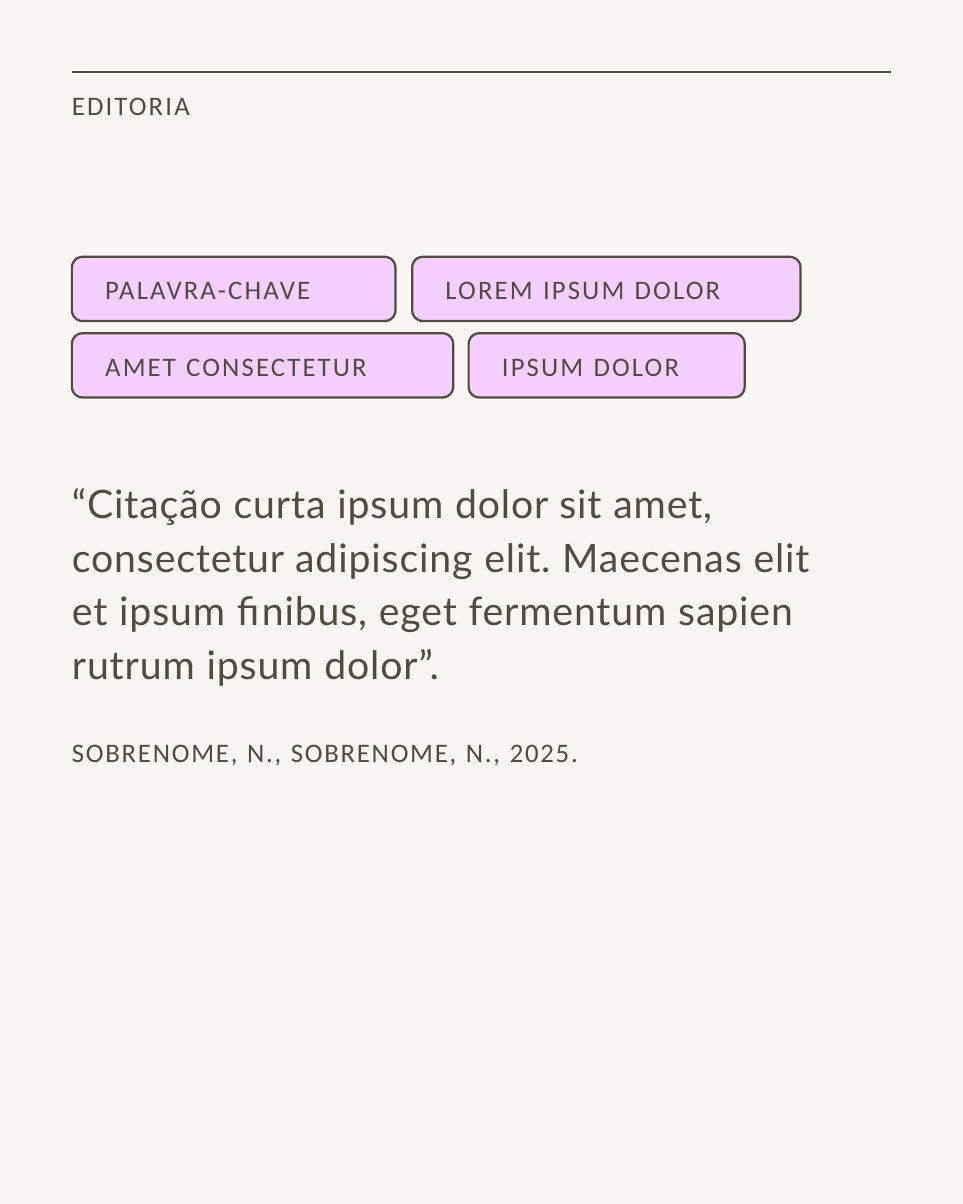
"""Build an editorial quote slide with keyword tags and a citation."""
from dataclasses import dataclass

from lxml.etree import SubElement
from pptx import Presentation
from pptx.dml.color import RGBColor
from pptx.enum.shapes import MSO_CONNECTOR, MSO_SHAPE
from pptx.enum.text import MSO_ANCHOR, MSO_AUTO_SIZE, PP_ALIGN
from pptx.oxml.ns import qn
from pptx.shapes.autoshape import Shape
from pptx.slide import Slide
from pptx.text.text import TextFrame, _Paragraph
from pptx.util import Inches, Pt


@dataclass(frozen=True)
class Theme:
    paper: RGBColor = RGBColor.from_string("FAF6F3")
    ink: RGBColor = RGBColor.from_string("514B40")
    tag: RGBColor = RGBColor.from_string("F5CFFF")
    label: int = 30
    quote: int = 44
    stroke: float = 2.5


@dataclass(frozen=True)
class Style:
    font: str
    size: int
    track: float
    lead: int = 0
    before: int = 0


@dataclass(frozen=True)
class Tag:
    text: str
    left: float
    top: float
    width: float


THEME = Theme()
LABEL = Style("Calibri", THEME.label, 2.4)
QUOTE = Style("Lato", THEME.quote, 1, lead=60)
SOURCE = Style("Calibri", THEME.label, 2, lead=45, before=45)
MARGIN = 1.12
WIDTH = 12.76
ROWS = (4, 5.19)
TAGS = (
    Tag("PALAVRA-CHAVE", MARGIN, ROWS[0], 5.04),
    Tag("LOREM IPSUM DOLOR", 6.42, ROWS[0], 6.05),
    Tag("AMET CONSECTETUR", MARGIN, ROWS[1], 5.94),
    Tag("IPSUM DOLOR", 7.3, ROWS[1], 4.3),
)


def apply(target: object, values: dict) -> None:
    """Set every attribute named in values."""
    for name, value in values.items():
        setattr(target, name, value)


def set_frame(frame: TextFrame, pads: tuple, wrap: bool, anchor: MSO_ANCHOR) -> None:
    """Set the insets, wrapping and anchor of a text frame."""
    sides = ("margin_left", "margin_top", "margin_right", "margin_bottom")
    apply(frame, {side: Inches(pad) for side, pad in zip(sides, pads)})
    apply(frame, {"auto_size": MSO_AUTO_SIZE.SHAPE_TO_FIT_TEXT,
                  "word_wrap": wrap, "vertical_anchor": anchor})


def write(para: _Paragraph, text: str, style: Style) -> None:
    """Write one styled run into a paragraph."""
    para.alignment = PP_ALIGN.LEFT
    if style.lead:
        para.line_spacing = Pt(style.lead)
    if style.before:
        para.space_before = Pt(style.before)
    run = para.add_run()
    run.text = text
    apply(run.font, {"name": style.font, "size": Pt(style.size)})
    run.font.color.rgb = THEME.ink
    run._r.get_or_add_rPr().set("spc", str(round(style.track * 100)))


def add_rule(slide: Slide, top: float) -> None:
    """Draw the rule across the column."""
    rule = slide.shapes.add_connector(
        MSO_CONNECTOR.STRAIGHT, Inches(MARGIN), Inches(top),
        Inches(MARGIN + WIDTH), Inches(top))
    rule.line.color.rgb = THEME.ink
    rule.line.width = Pt(THEME.stroke)
    SubElement(rule._element.spPr, qn("a:effectLst"))


def add_text(slide: Slide, top: float, height: float, pads: tuple, *parts: tuple) -> None:
    """Add a column-wide text box with one paragraph per part."""
    box = slide.shapes.add_textbox(
        Inches(MARGIN), Inches(top), Inches(WIDTH), Inches(height))
    frame = box.text_frame
    set_frame(frame, pads, True, MSO_ANCHOR.TOP)
    for index, (text, style) in enumerate(parts):
        para = frame.add_paragraph() if index else frame.paragraphs[0]
        write(para, text, style)


def add_tag(slide: Slide, tag: Tag) -> Shape:
    """Add a rounded keyword tag."""
    shape = slide.shapes.add_shape(
        MSO_SHAPE.ROUNDED_RECTANGLE, Inches(tag.left), Inches(tag.top),
        Inches(tag.width), Inches(1))
    shape.shadow.inherit = False
    shape.fill.solid()
    shape.fill.fore_color.rgb = THEME.tag
    shape.line.color.rgb = THEME.ink
    shape.line.width = Pt(THEME.stroke)
    set_frame(shape.text_frame, (0.47, 0.2, 0.47, 0.2), False, MSO_ANCHOR.MIDDLE)
    write(shape.text_frame.paragraphs[0], tag.text, LABEL)
    return shape


def main() -> None:
    """Build and save the slide."""
    deck = Presentation()
    apply(deck, {"slide_width": Inches(15), "slide_height": Inches(18.75)})
    slide = deck.slides.add_slide(deck.slide_layouts[6])
    slide.background.fill.solid()
    slide.background.fill.fore_color.rgb = THEME.paper
    add_rule(slide, MARGIN)
    add_text(slide, 1.38, 0.51, (0, 0, 0, 0), ("EDITORIA", LABEL))
    for tag in TAGS:
        add_tag(slide, tag)
    add_text(
        slide, 6.19, 6.79, (0, 1.18, 0.59, 0),
        ("“Citação curta ipsum dolor sit amet, consectetur adipiscing elit. "
         "Maecenas elit et ipsum finibus, eget fermentum sapien rutrum "
         "ipsum dolor”.", QUOTE),
        ("SOBRENOME, N., SOBRENOME, N., 2025.", SOURCE))
    deck.save("out.pptx")


if __name__ == "__main__":
    main()
